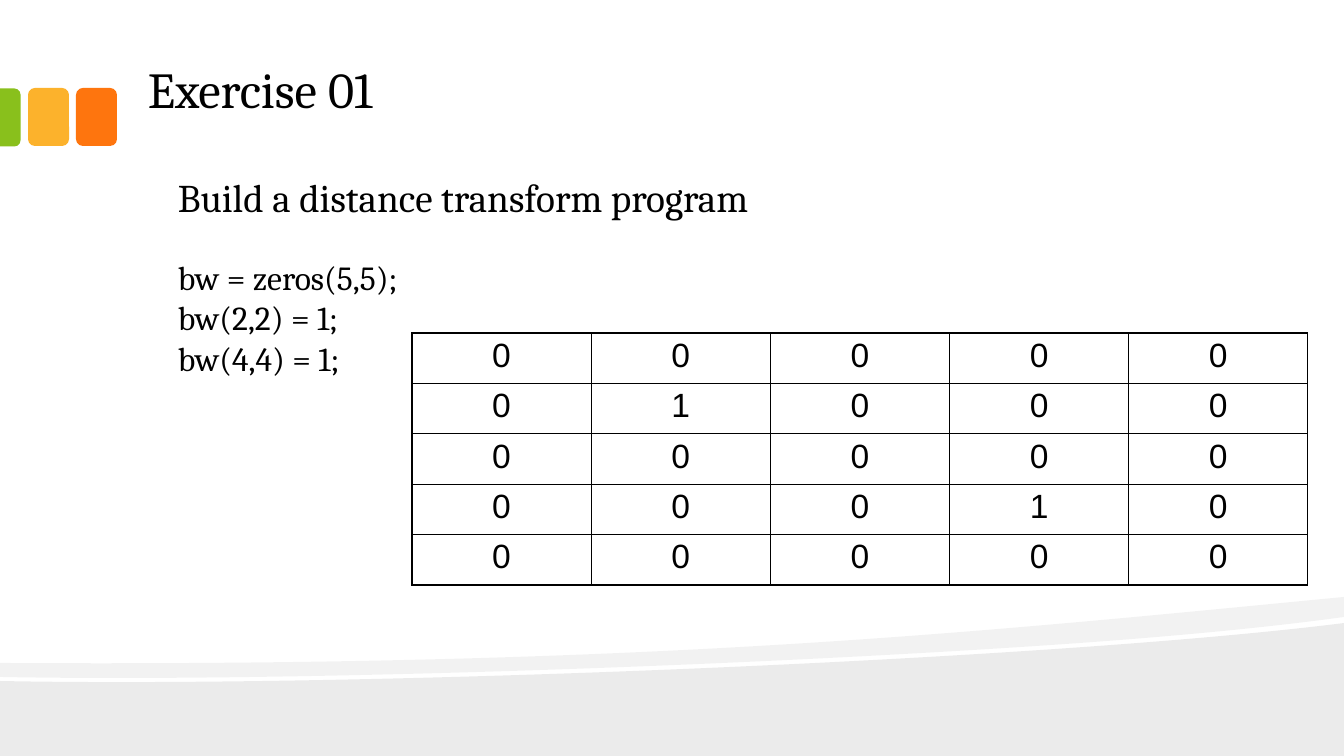
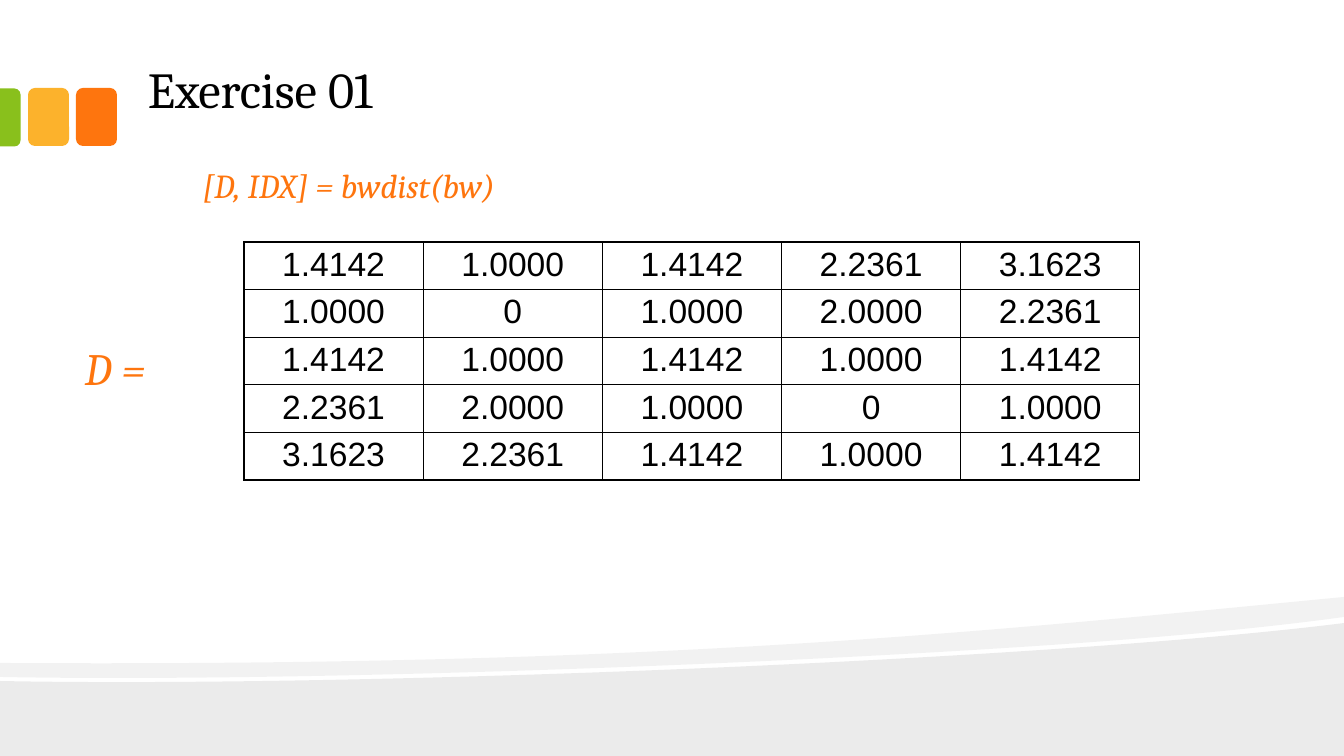
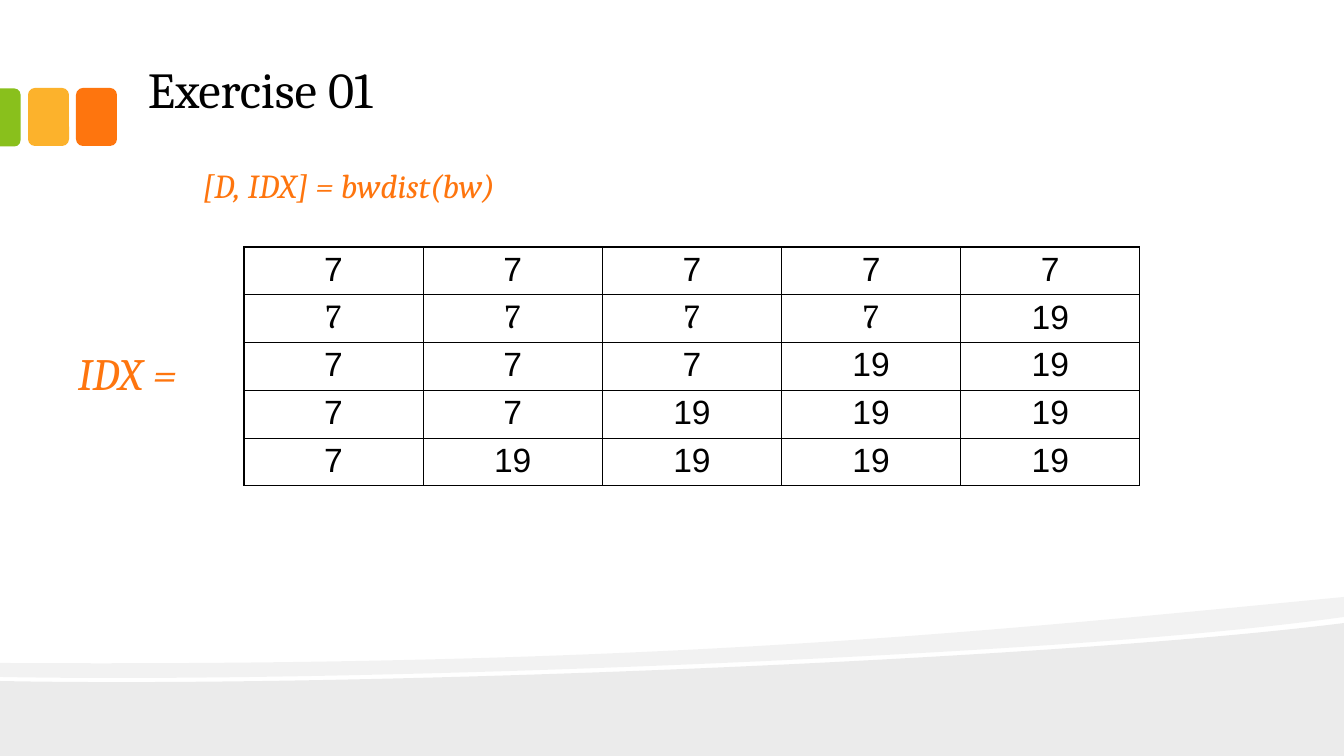
import dataclasses

import lxml.etree
import pptx
import pptx.dml.color
import pptx.enum.shapes
import pptx.enum.text
import pptx.oxml.ns
import pptx.util

SHAPES = pptx.enum.shapes.MSO_SHAPE
ANCHOR = pptx.enum.text.MSO_ANCHOR
PX = 914400 / 100.8


@dataclasses.dataclass(frozen=True)
class Theme:
    ink: str = "000000"
    orange: str = "FE750E"
    amber: str = "FCB22C"
    green: str = "89C01C"
    serif: str = "Cambria"
    sans: str = "Arial"
    title: int = 36
    heading: int = 28
    body: int = 24
    label: int = 32
    border: int = 1


theme = Theme()
ink = {"name": theme.serif, "color": theme.ink}
accent = {"name": theme.serif, "color": theme.orange, "italic": True}
title_style = {**ink, "size": theme.title}
heading_style = {**ink, "size": theme.heading}
code_style = {**ink, "size": theme.body}
call_style = {**accent, "size": theme.body}
label_style = {**accent, "size": theme.label}
cell_style = {**ink, "size": theme.body, "name": theme.sans}

wrapped = {"word_wrap": True}
unwrapped = {"word_wrap": False}
title_frame = {
    "word_wrap": True, "vertical_anchor": ANCHOR.MIDDLE,
    "margin_left": round(13 * PX), "margin_right": round(13 * PX),
    "margin_top": round(7 * PX), "margin_bottom": round(7 * PX),
}
cell_format = {
    "vertical_anchor": ANCHOR.TOP,
    "margin_top": round(4 * PX), "margin_bottom": round(3 * PX),
}

waves = [
    {"start": (1344, 623), "opacity": 8, "segments": [
        [(1344, 756)], [(0, 756)], [(0, 681)],
        [(355, 688), (1050, 660), (1344, 623)]]},
    {"start": (1344, 597), "opacity": 5, "segments": [
        [(1344, 617)],
        [(1265, 628), (1158, 638), (1037, 646)],
        [(704, 668), (260, 682), (0, 677)],
        [(0, 663)],
        [(657, 667), (979, 632), (1344, 597)]]},
]
tabs = [
    {"kind": SHAPES.ROUNDED_RECTANGLE, "box": (76, 88, 41, 58), "color": theme.orange},
    {"kind": SHAPES.ROUNDED_RECTANGLE, "box": (28, 88, 41, 58), "color": theme.amber},
    {"kind": SHAPES.ROUND_2_SAME_RECTANGLE, "box": (-19, 107, 58, 21),
     "color": theme.green, "rotation": 90, "corner": 0.29},
]

exercise_title = ((135, 17, 1075, 143), ["Exercise 01"], title_style, title_frame)
distance_call = ((193, 160, 336, 50), ["[D, IDX] = bwdist(bw)"], call_style, unwrapped)

pages = [
    {"texts": [
        exercise_title,
        ((168, 168, 991, 57), ["Build a distance transform program"], heading_style, wrapped),
        ((168, 252, 924, 132),
         ["bw = zeros(5,5);", "bw(2,2) = 1;", "bw(4,4) = 1;"], code_style, wrapped)],
     "matrix_box": (412, 333, 896, 252),
     "matrix": ["0 0 0 0 0",
                "0 1 0 0 0",
                "0 0 0 0 0",
                "0 0 0 1 0",
                "0 0 0 0 0"],
     "serif_cells": []},
    {"texts": [
        exercise_title, distance_call,
        ((75, 336, 90, 64), ["D ="], label_style, unwrapped)],
     "matrix_box": (244, 242, 896, 238),
     "matrix": ["1.4142 1.0000 1.4142 2.2361 3.1623",
                "1.0000 0 1.0000 2.0000 2.2361",
                "1.4142 1.0000 1.4142 1.0000 1.4142",
                "2.2361 2.0000 1.0000 0 1.0000",
                "3.1623 2.2361 1.4142 1.0000 1.4142"],
     "serif_cells": []},
    {"texts": [
        exercise_title, distance_call,
        ((68, 341, 132, 64), ["IDX ="], label_style, unwrapped)],
     "matrix_box": (244, 247, 896, 239),
     "matrix": ["7 7 7 7 7",
                "7 7 7 7 19",
                "7 7 7 19 19",
                "7 7 19 19 19",
                "7 19 19 19 19"],
     "serif_cells": [(1, column) for column in range(4)]},
]


def apply_format(target, values):
    for attribute, value in values.items():
        if attribute == "color":
            target.color.rgb = pptx.dml.color.RGBColor.from_string(value)
        elif attribute == "size":
            target.size = pptx.util.Pt(value)
        else:
            setattr(target, attribute, value)


def paint(shape, color):
    shape.shadow.inherit = False
    shape.line.fill.background()
    shape.fill.solid()
    shape.fill.fore_color.rgb = pptx.dml.color.RGBColor.from_string(color)


deck = pptx.Presentation()
deck.slide_width = round(1344 * PX)
deck.slide_height = round(756 * PX)

for page in pages:
    slide = deck.slides.add_slide(deck.slide_layouts[6])

    for wave in waves:
        ends = [segment[-1] for segment in wave["segments"]]
        outline = slide.shapes.build_freeform(*wave["start"], scale=PX)
        outline.add_line_segments(ends, close=True)
        band = outline.convert_to_shape()
        paint(band, theme.ink)
        band_xml = band._element
        ink_color = band_xml.spPr.find(".//" + pptx.oxml.ns.qn("a:srgbClr"))
        lxml.etree.SubElement(
            ink_color, pptx.oxml.ns.qn("a:alpha"), val=str(wave["opacity"] * 1000))
        left, top = (min(axis) for axis in zip(*ends))
        strokes = list(band_xml.iter(pptx.oxml.ns.qn("a:lnTo")))
        for stroke, segment in zip(strokes, wave["segments"]):
            if len(segment) == 3:
                curve = lxml.etree.Element(pptx.oxml.ns.qn("a:cubicBezTo"))
                for x, y in segment:
                    lxml.etree.SubElement(
                        curve, pptx.oxml.ns.qn("a:pt"), x=str(x - left), y=str(y - top))
                stroke.getparent().replace(stroke, curve)

    for tab in tabs:
        marker = slide.shapes.add_shape(tab["kind"], *(round(v * PX) for v in tab["box"]))
        paint(marker, tab["color"])
        marker.rotation = tab.get("rotation", 0)
        if "corner" in tab:
            marker.adjustments[0] = tab["corner"]

    for box, lines, style, frame_format in page["texts"]:
        frame = slide.shapes.add_textbox(*(round(v * PX) for v in box)).text_frame
        apply_format(frame, frame_format)
        frame.text = "\n".join(lines)
        for paragraph in frame.paragraphs:
            apply_format(paragraph.runs[0].font, style)

    values = [row.split() for row in page["matrix"]]
    matrix = slide.shapes.add_table(
        len(values), len(values[0]), *(round(v * PX) for v in page["matrix_box"])).table
    apply_format(matrix, {"first_row": False, "horz_banding": False})
    for row, row_values in enumerate(values):
        for column, value in enumerate(row_values):
            cell = matrix.cell(row, column)
            apply_format(cell, cell_format)
            cell.text = value
            entry = cell.text_frame.paragraphs[0]
            entry.alignment = pptx.enum.text.PP_ALIGN.CENTER
            apply_format(entry.runs[0].font, cell_style)
            if (row, column) in page["serif_cells"]:
                entry.runs[0].font.name = theme.serif
            properties = cell._tc.get_or_add_tcPr()
            for side in ("lnL", "lnR", "lnT", "lnB"):
                edge = lxml.etree.SubElement(
                    properties, pptx.oxml.ns.qn("a:" + side),
                    w=str(pptx.util.Pt(theme.border)))
                edge_fill = lxml.etree.SubElement(edge, pptx.oxml.ns.qn("a:solidFill"))
                lxml.etree.SubElement(
                    edge_fill, pptx.oxml.ns.qn("a:srgbClr"), val=theme.ink)
            cell.fill.background()

deck.save("out.pptx")
